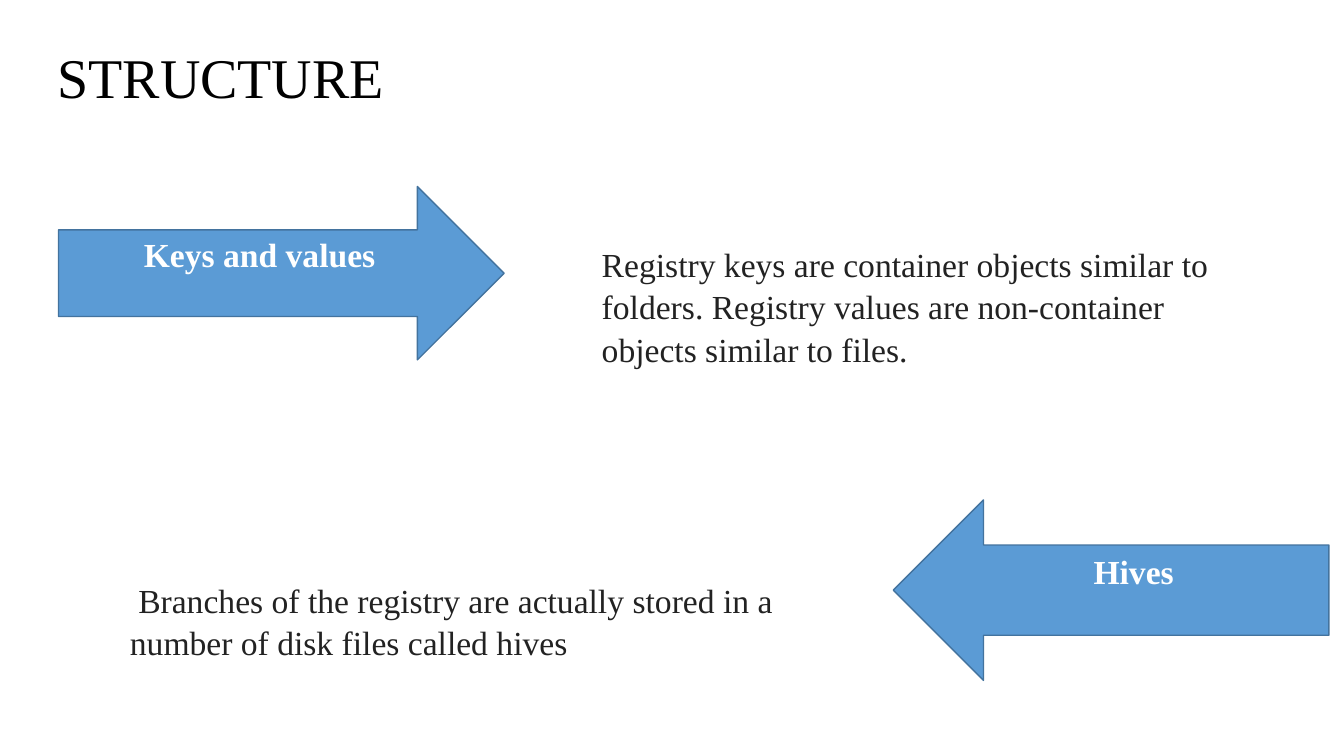
from pptx import Presentation
from pptx.dml.color import RGBColor
from pptx.enum import shapes, text
from pptx.util import Inches, Pt

# Content: boxes are left, top, width, height in inches
TITLE = ("STRUCTURE", (0.47, 0.37, 3.61, 0.77))
ARROWS = [
    ("Keys and values", shapes.MSO_SHAPE.RIGHT_ARROW, (0.58, 1.85, 4.42, 1.72)),
    ("Hives", shapes.MSO_SHAPE.LEFT_ARROW, (8.86, 4.96, 4.32, 1.79)),
]
EXPLANATIONS = [
    ("Registry keys are container objects similar to folders. "
     "Registry values are non-container objects similar to files.",
     (5.87, 2.35, 6.67, 1.31)),
    (" Branches of the registry are actually stored in a number of "
     "disk files called hives", (1.19, 5.68, 6.67, 0.91)),
]

FONT = "Times New Roman"
BLACK = RGBColor(0x00, 0x00, 0x00)
WHITE = RGBColor(0xFF, 0xFF, 0xFF)
DARK_GREY = RGBColor(0x22, 0x22, 0x22)
BLUE = RGBColor(0x5B, 0x9B, 0xD5)
BLUE_EDGE = RGBColor(0x43, 0x73, 0x9E)
LABEL_LIFT = Inches(0.43)  # bottom inset that raises the arrow labels


def inches(box):
    return [Inches(length) for length in box]


def write(frame, words, size, color, align, bold=False, spacing=1.0):
    frame.text = words
    frame.word_wrap = True
    paragraph = frame.paragraphs[0]
    paragraph.alignment = align
    paragraph.line_spacing = spacing
    font = paragraph.runs[0].font
    font.name, font.size, font.bold = FONT, Pt(size), bold
    font.color.rgb = color


deck = Presentation()
deck.slide_width, deck.slide_height = Inches(13.33), Inches(7.5)
slide = deck.slides.add_slide(deck.slide_layouts[5])

# Title
heading, heading_box = TITLE
title = slide.shapes.title
title.left, title.top, title.width, title.height = inches(heading_box)
write(title.text_frame, heading, 40, BLACK, text.PP_ALIGN.LEFT)
title.text_frame.vertical_anchor = text.MSO_ANCHOR.TOP

# Labelled arrows
for label, direction, box in ARROWS:
    arrow = slide.shapes.add_shape(direction, *inches(box))
    arrow.shadow.inherit = False
    arrow.fill.solid()
    arrow.fill.fore_color.rgb = BLUE
    arrow.line.color.rgb = BLUE_EDGE
    arrow.line.width = Pt(1)
    write(arrow.text_frame, label, 24, WHITE, text.PP_ALIGN.CENTER, bold=True)
    arrow.text_frame.vertical_anchor = text.MSO_ANCHOR.MIDDLE
    arrow.text_frame.margin_bottom = LABEL_LIFT

# Explanations beside the arrows
for words, box in EXPLANATIONS:
    explanation = slide.shapes.add_textbox(*inches(box))
    write(explanation.text_frame, words, 24, DARK_GREY, text.PP_ALIGN.LEFT,
          spacing=1.05)

deck.save("out.pptx")
